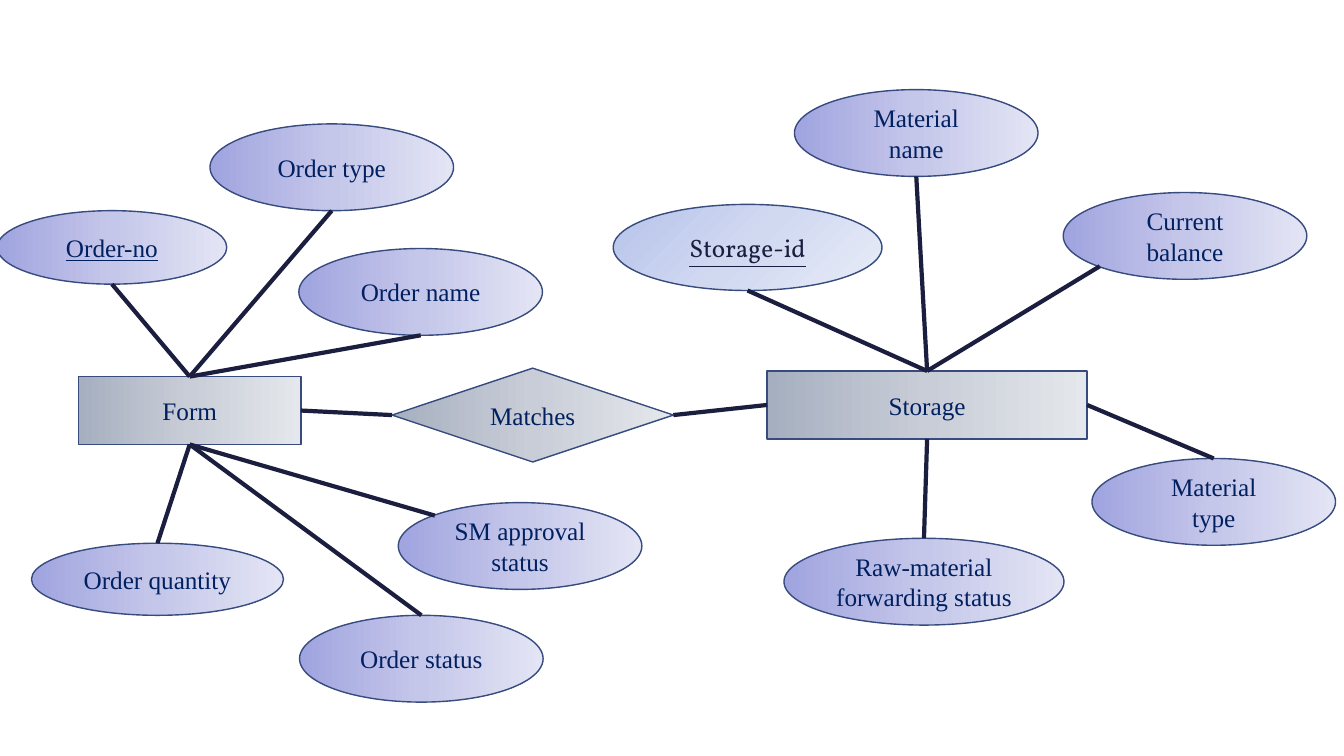
from copy import deepcopy
from dataclasses import dataclass

from lxml import etree
from pptx import Presentation
from pptx.dml import color
from pptx.enum import shapes, text
from pptx.oxml import ns
from pptx.util import Pt


@dataclass(frozen=True)
class Theme:
    outline: str = "374B7F"
    link: str = "1B1E3E"
    label: str = "002060"
    font: str = "Times New Roman"
    key_font: str = "Vollkorn"
    size: float = 18
    outline_width: float = 1
    link_width: float = 3
    entity: tuple = ("A6AFBF", "C9CDD7", "E4E7EB")
    attribute: tuple = ("A0A4DF", "C5C7EA", "E3E4F4")
    key: tuple = ("B6C3EB", "D1D9F1", "E8ECF8")


THEME = Theme()
SLIDE_SIZE = (960, 540)

ENTITIES = {
    "Form": (56, 269, 159, 48.5),
    "Storage": (548, 265, 228.5, 48.5),
}
RELATIONSHIPS = {"Matches": (280, 263, 201, 67)}
ATTRIBUTES = {
    "Order-no": (-2, 150.5, 164, 52.5),
    "Order type": (150, 88.5, 174, 62),
    "Order name": (213.5, 177.5, 174, 62),
    "Order quantity": (22.5, 388, 180, 51.5),
    "SM approval status": (284.5, 359, 174, 62),
    "Order status": (214, 439.5, 174, 62),
    "Storage-id": (438, 146, 192, 61.5),
    "Material¶name": (567.5, 64, 174, 62),
    "Current¶balance": (759.5, 137.5, 174, 62),
    "Material¶type": (780, 327.5, 174, 62),
    "Raw-material\nforwarding status": (560, 384.5, 200, 62),
}
KEYS = {"Order-no", "Storage-id"}
LINKS = [
    ("Order-no", "bottom", "Form", "top"),
    ("Order type", "bottom", "Form", "top"),
    ("Order name", "bottom", "Form", "top"),
    ("Order quantity", "top", "Form", "bottom"),
    ("SM approval status", "top left", "Form", "bottom"),
    ("Order status", "top", "Form", "bottom"),
    ("Storage-id", "bottom", "Storage", "top"),
    ("Material¶name", "bottom", "Storage", "top"),
    ("Current¶balance", "bottom left", "Storage", "top"),
    ("Material¶type", "top", "Storage", "right"),
    ("Raw-material\nforwarding status", "top", "Storage", "bottom"),
    ("Matches", "left", "Form", "right"),
    ("Storage", "left", "Matches", "right"),
]
ANCHORS = {
    "top": (0.5, 0),
    "bottom": (0.5, 1),
    "left": (0, 0.5),
    "right": (1, 0.5),
    "top left": (0.15, 0.15),
    "bottom left": (0.15, 0.85),
}
PLACES = ENTITIES | RELATIONSHIPS | ATTRIBUTES


def rgb(value):
    return color.RGBColor.from_string(value)


def fill_gradient(fill, colours, angle):
    fill.gradient()
    fill.gradient_angle = angle
    stop_list = fill._xPr.find(ns.qn("a:gradFill")).find(ns.qn("a:gsLst"))
    stop_list.insert(1, deepcopy(stop_list[0]))
    for stop, value, position in zip(fill.gradient_stops, colours, (0, 0.5, 1)):
        stop.position = position
        stop.color.rgb = rgb(value)


def write_label(frame, label, font, colour, underline):
    frame.word_wrap = True
    frame.vertical_anchor = text.MSO_ANCHOR.MIDDLE
    for index, paragraph in enumerate(label.split("¶")):
        para = frame.add_paragraph() if index else frame.paragraphs[0]
        para.alignment = text.PP_ALIGN.CENTER
        for row, words in enumerate(paragraph.split("\n")):
            if row:
                para.add_line_break()
            span = para.add_run()
            span.text = words
            span.font.name = font
            span.font.size = Pt(THEME.size)
            span.font.color.rgb = rgb(colour)
            if underline:
                span.font.underline = True


def add_node(page, label, preset, colours):
    box = page.shapes.add_shape(preset, *map(Pt, PLACES[label]))
    box.shadow.inherit = False
    special = label == "Storage-id"
    fill_gradient(box.fill, THEME.key if special else colours, 315 if special else 0)
    box.line.color.rgb = rgb(THEME.outline)
    box.line.width = Pt(THEME.outline_width)
    font = THEME.key_font if special else THEME.font
    colour = THEME.link if special else THEME.label
    write_label(box.text_frame, label, font, colour, label in KEYS)


def anchor_point(label, side):
    left, top, width, height = PLACES[label]
    across, down = ANCHORS[side]
    return Pt(left + across * width), Pt(top + down * height)


def add_link(page, start, start_side, end, end_side):
    link = page.shapes.add_connector(
        shapes.MSO_CONNECTOR.STRAIGHT,
        *anchor_point(start, start_side),
        *anchor_point(end, end_side),
    )
    link.line.color.rgb = rgb(THEME.link)
    link.line.width = Pt(THEME.link_width)
    etree.SubElement(link._element.spPr, ns.qn("a:effectLst"))


def main():
    deck = Presentation()
    deck.slide_width, deck.slide_height = map(Pt, SLIDE_SIZE)
    page = deck.slides.add_slide(deck.slide_layouts[6])
    preset = shapes.MSO_SHAPE
    groups = [
        (ENTITIES, preset.FLOWCHART_PROCESS, THEME.entity),
        (RELATIONSHIPS, preset.FLOWCHART_DECISION, THEME.entity),
        (ATTRIBUTES, preset.OVAL, THEME.attribute),
    ]
    for labels, outline, colours in groups:
        for label in labels:
            add_node(page, label, outline, colours)
    for link in LINKS:
        add_link(page, *link)
    deck.save("out.pptx")


if __name__ == "__main__":
    main()
